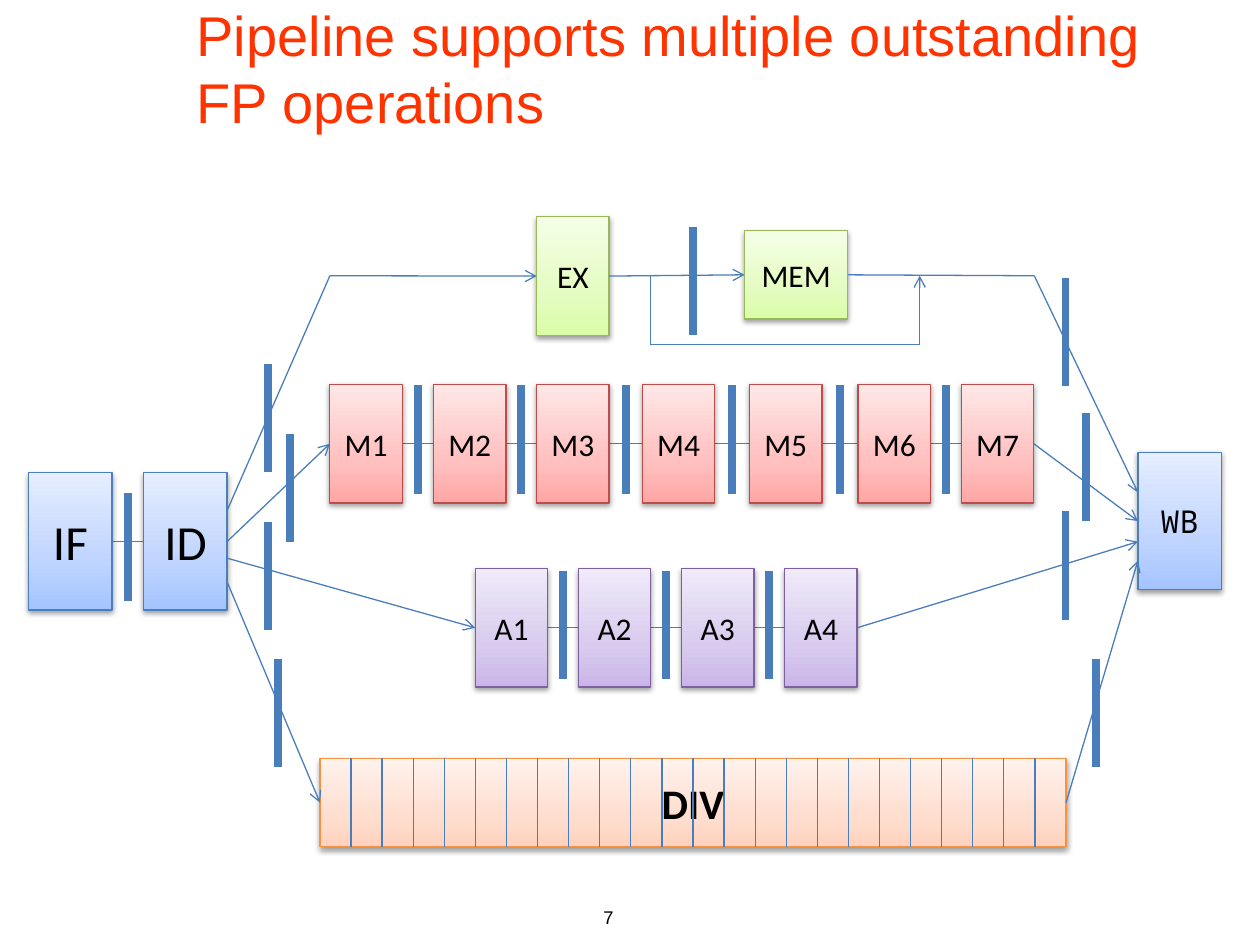
"""Build the slide on a pipeline with many outstanding FP operations."""
from itertools import pairwise

from pptx import Presentation
from pptx.dml.color import RGBColor
from pptx.enum.shapes import MSO_CONNECTOR, MSO_SHAPE
from pptx.enum.text import MSO_ANCHOR, MSO_AUTO_SIZE, PP_ALIGN
from pptx.oxml import parse_xml
from pptx.oxml.ns import nsdecls, qn
from pptx.util import Cm, Pt

RED = RGBColor(0xFF, 0x33, 0x00)
BLACK = RGBColor(0x00, 0x00, 0x00)
WHITE = RGBColor(0xFF, 0xFF, 0xFF)
WIRE = RGBColor(0x4A, 0x7E, 0xBB)

TITLE = "Pipeline supports multiple outstanding FP operations"
NUMBER = "7"

BLUE = (RGBColor(0x4B, 0x7E, 0xBC), ("A4C4FF", "BFD4FF", "E6EEFF"))
ROSE = (RGBColor(0xBF, 0x4C, 0x48), ("FFA6A5", "FFC0BF", "FFE7E7"))
PLUM = (RGBColor(0x7D, 0x60, 0xA0), ("C9B5E8", "D8CBEE", "F0EAF9"))
LIME = (RGBColor(0x98, 0xB9, 0x55), ("DAFDA7", "E4FCC2", "F5FFE7"))
PEACH = (RGBColor(0xF6, 0x92, 0x40), ("FFD2BD", "FFDED0", "FFF2ED"))

ROWS = [
    (BLUE, 28, 9.53, 1.68, 2.77, 0.4, {"IF": 0.58, "ID": 2.9}),
    (ROSE, 18, 7.75, 1.46, 2.39, 0.02,
     {"M1": 6.65, "M2": 8.74, "M3": 10.82, "M4": 12.95,
      "M5": 15.11, "M6": 17.3, "M7": 19.38}),
    (PLUM, 18, 11.46, 1.46, 2.39, 0.05,
     {"A1": 9.58, "A2": 11.66, "A3": 13.74, "A4": 15.82}),
]
SINGLES = [
    ("WB", BLUE, 18, (22.94, 9.12, 1.68, 2.77), "Noto Sans Mono"),
    ("EX", LIME, 18, (10.82, 4.37, 1.46, 2.39), "Calibri"),
    ("MEM", LIME, 18, (15.01, 4.65, 2.08, 1.78), "Calibri"),
    ("DIV", PEACH, 24, (6.45, 15.29, 15.04, 1.78), "Calibri"),
]
RAILS = [(("IF", 1), ("ID", 3)), (("A1", 1), ("A4", 3)), (("M1", 3), ("M7", 1))]
WIRES = [
    ((4.57, 10.31), (6.65, 5.56), False),
    ((6.65, 5.56), ("EX", 1), True),
    (("EX", 3), ("MEM", 1), True),
    (("MEM", 3), (20.85, 5.56), False),
    ((20.85, 5.56), (22.94, 9.93), True),
    (("ID", 3), ("M1", 1), True),
    (("M7", 3), ("WB", 1), True),
    ((4.57, 11.25), ("A1", 1), True),
    (("A4", 3), (22.94, 10.92), True),
    ((4.57, 11.71), ("DIV", 1), True),
    (("DIV", 3), (22.94, 11.3), True),
    ((13.12, 5.56), (13.12, 6.95), False),
    ((13.12, 6.95), (18.54, 6.95), False),
    ((18.54, 6.95), (18.54, 5.56), True),
]
BARS = [
    (5.41, 7.34), (5.84, 8.74), (5.41, 10.52), (5.61, 13.28), (13.97, 4.57),
    (21.48, 5.61), (21.89, 8.33), (21.48, 10.31), (22.1, 13.28),
]
BAR_H = 2.18
SLOTS = 24

boxes = {}


def add_box(shapes, name, tone, size, area, face="Calibri"):
    edge, tints = tone
    box = shapes.add_shape(MSO_SHAPE.RECTANGLE, *map(Cm, area))
    box.line.color.rgb = edge
    box.line.width = Pt(0.75)
    stops = "".join(
        f'<a:gs pos="{pos}"><a:srgbClr val="{tint}"/></a:gs>'
        for pos, tint in zip((0, 35000, 100000), tints))
    props = box.element.spPr
    props.find(qn("a:prstGeom")).addnext(parse_xml(
        f'<a:gradFill {nsdecls("a")} rotWithShape="1"><a:gsLst>{stops}</a:gsLst>'
        '<a:lin ang="16200000" scaled="0"/></a:gradFill>'))
    box.shadow.inherit = False
    props.find(qn("a:effectLst")).append(parse_xml(
        f'<a:outerShdw {nsdecls("a")} blurRad="40000" dist="20000" dir="5400000"'
        ' rotWithShape="0"><a:srgbClr val="000000"><a:alpha val="38000"/>'
        '</a:srgbClr></a:outerShdw>'))
    frame = box.text_frame
    frame.margin_left = frame.margin_right = 0
    frame.vertical_anchor = MSO_ANCHOR.MIDDLE
    frame.text = name
    para = frame.paragraphs[0]
    para.alignment = PP_ALIGN.CENTER
    style(para, face, size, BLACK)
    para.font.bold = name == "DIV"
    boxes[name] = box


def style(para, face, size, color):
    para.font.name = face
    para.font.size = Pt(size)
    para.font.color.rgb = color


def add_wire(shapes, start=(0, 0), end=(0, 0), head=False, width=0.75):
    spots = [(0, 0) if p[0] in boxes else p for p in (start, end)]
    wire = shapes.add_connector(
        MSO_CONNECTOR.STRAIGHT, *(Cm(v) for spot in spots for v in spot))
    wire.line.color.rgb = WIRE
    wire.line.width = Pt(width)
    if head:
        wire.line._get_or_add_ln().append(
            parse_xml(f'<a:tailEnd {nsdecls("a")} type="arrow"/>'))
    wire.element.spPr.append(parse_xml(f'<a:effectLst {nsdecls("a")}/>'))
    join(wire, start, end)
    return wire


def join(wire, start, end):
    if start[0] in boxes:
        wire.begin_connect(boxes[start[0]], start[1])
    if end[0] in boxes:
        wire.end_connect(boxes[end[0]], end[1])


def add_bar(shapes, x, top):
    add_wire(shapes, (x, top), (x, top + BAR_H), width=4.5)


def add_text(slide):
    title = slide.shapes.title
    title.left, title.top, title.width, title.height = map(Cm, (3.71, 0, 21.01, 2.72))
    title.fill.solid()
    title.fill.fore_color.rgb = WHITE
    frame = title.text_frame
    frame.text = TITLE
    frame.word_wrap = True
    frame.auto_size = MSO_AUTO_SIZE.NONE
    frame.vertical_anchor = MSO_ANCHOR.MIDDLE
    frame.paragraphs[0].alignment = PP_ALIGN.LEFT
    style(frame.paragraphs[0], "Arial", 32, RED)
    note = slide.shapes.add_textbox(*map(Cm, (7.34, 18.14, 5.28, 0.9))).text_frame
    note.word_wrap = True
    note.text = NUMBER
    note.paragraphs[0].alignment = PP_ALIGN.RIGHT
    style(note.paragraphs[0], "Arial", 10.5, BLACK)


def main():
    deck = Presentation()
    deck.slide_width, deck.slide_height = Cm(25.4), Cm(19.05)
    slide = deck.slides.add_slide(deck.slide_layouts[5])
    shapes = slide.shapes
    add_text(slide)

    rails = [add_wire(shapes) for _ in RAILS]
    for tone, size, top, wide, high, drop, cells in ROWS:
        for name, left in cells.items():
            add_box(shapes, name, tone, size, (left, top, wide, high))
        for left, right in pairwise(cells.values()):
            add_bar(shapes, (left + wide + right) / 2, top + drop)
    for name, tone, size, area, face in SINGLES:
        add_box(shapes, name, tone, size, area, face)
    for rail, ends in zip(rails, RAILS):
        join(rail, *ends)

    left, top, wide, high = SINGLES[-1][3]
    for k in range(1, SLOTS):
        x = left + wide * k / SLOTS
        add_wire(shapes, (x, top), (x, top + high))
    for start, end, head in WIRES:
        add_wire(shapes, start, end, head)
    for x, y in BARS:
        add_bar(shapes, x, y)
    deck.save("out.pptx")


if __name__ == "__main__":
    main()
